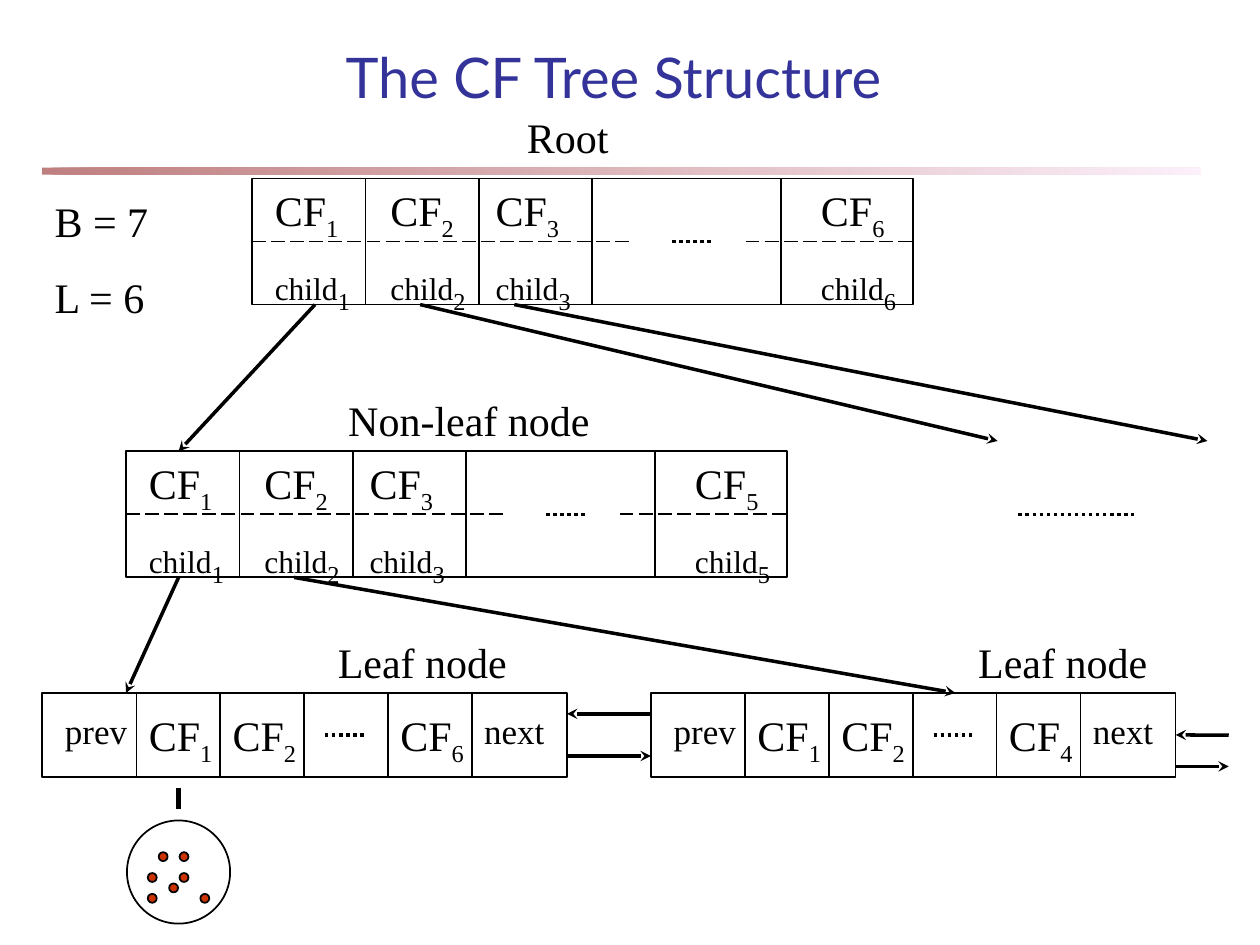
import pptx
import pptx.util
import pptx.dml.color
import pptx.enum.dml
import pptx.enum.shapes
import pptx.enum.text
import pptx.oxml.ns
from lxml import etree

Cm, Pt = pptx.util.Cm, pptx.util.Pt
qn = pptx.oxml.ns.qn
SHAPE = pptx.enum.shapes.MSO_SHAPE
DASH = pptx.enum.dml.MSO_LINE
FIT = pptx.enum.text.MSO_AUTO_SIZE


def color(code):
    return pptx.dml.color.RGBColor.from_string(code)


def style(run, size, font="Times New Roman", code="000000"):
    run.font.size = Pt(size)
    run.font.name = font
    run.font.color.rgb = color(code)


def line(slide, x1, y1, x2, y2, width=1, dash=None, arrow=False):
    link = slide.shapes.add_connector(
        pptx.enum.shapes.MSO_CONNECTOR.STRAIGHT, Cm(x1), Cm(y1), Cm(x2), Cm(y2))
    link.line.color.rgb = color("000000")
    link.line.width = Pt(width)
    if dash:
        link.line.dash_style = dash
    props = link._element.spPr
    if arrow:
        etree.SubElement(props.find(qn("a:ln")), qn("a:tailEnd"), type="stealth")
    etree.SubElement(props, qn("a:effectLst"))
    return link


def dots(slide, x, y, width=0.85):
    line(slide, x, y, x + width, y, 2, DASH.ROUND_DOT)


def shape(slide, kind, x, y, width, height, fill=None):
    item = slide.shapes.add_shape(kind, Cm(x), Cm(y), Cm(width), Cm(height))
    item.shadow.inherit = False
    item.line.color.rgb = color("000000")
    item.line.width = Pt(1)
    if fill:
        item.fill.solid()
        item.fill.fore_color.rgb = color(fill)
    else:
        item.fill.background()
    return item


def label(slide, x, y, width, words, size=24, sub=None):
    """Text box with one paragraph per line of words and an optional subscript."""
    box = slide.shapes.add_textbox(Cm(x), Cm(y), Cm(width), Cm(1.27))
    frame = box.text_frame
    frame.word_wrap = True
    frame.auto_size = FIT.SHAPE_TO_FIT_TEXT
    frame.text = words
    for para in frame.paragraphs:
        para.space_before = Pt(12.5 if size == 20 else 15)
        style(para.runs[0], size)
    if sub:
        run = frame.paragraphs[0].add_run()
        run.text = str(sub)
        style(run, 24)
        run.font._element.set("baseline", "-25000")


def heading(slide, x, y, width, height):
    title = slide.shapes.title
    title.left, title.top, title.width, title.height = map(Cm, (x, y, width, height))
    frame = title.text_frame
    frame.text = "The CF Tree Structure"
    frame.auto_size = FIT.NONE
    frame.vertical_anchor = pptx.enum.text.MSO_ANCHOR.BOTTOM
    frame.paragraphs[0].alignment = pptx.enum.text.PP_ALIGN.CENTER
    style(frame.paragraphs[0].runs[0], 32, "Lato", "333399")


def rule(slide, x, y, width, height):
    """Half-transparent gradient bar below the title."""
    bar = shape(slide, SHAPE.RECTANGLE, x, y, width, height)
    bar.line.fill.background()
    bar.fill.gradient()
    bar.fill.gradient_angle = 0
    for stop, place, code in zip(bar.fill.gradient_stops, (0, 1), ("800000", "FAE2F6")):
        stop.position = place
        stop.color.rgb = color(code)
    for tint in bar._element.spPr.iter(qn("a:srgbClr")):
        etree.SubElement(tint, qn("a:alpha"), val="50000")


def branch(slide, x, y, last):
    """Inner tree node: CF entries above their child pointers."""
    width, height = 13.33, 2.54
    shape(slide, SHAPE.RECTANGLE, x, y, width, height)
    for step in (2.29, 4.57, 6.86, 10.67):
        line(slide, x + step, y, x + step, y + height)
    middle = y + height / 2
    for start, end in ((0, 7.62), (9.95, width)):
        line(slide, x + start, middle, x + end, middle, dash=DASH.LONG_DASH)
    dots(slide, x + 8.47, middle)
    for step, sub in ((0.21, 1), (2.54, 2), (4.66, 3), (11.22, last)):
        label(slide, x + step, y, 1.9, "CF", 24, sub)
        label(slide, x + step, y + 1.48, 2.54, "child", 18, sub)


def leaf(slide, x, y, last):
    """Leaf node: CF entries between its prev and next pointers."""
    height = 1.69
    frame = shape(slide, SHAPE.RECTANGLE, x, y, 10.58, height)
    walls = [x + 1.9 + 1.69 * i for i in range(5)]
    for wall in walls:
        line(slide, wall, y, wall, y + height)
    for wall, sub in zip((walls[0], walls[1], walls[3]), (1, 2, last)):
        label(slide, wall, y + 0.21, 1.9, "CF", 24, sub)
    dots(slide, walls[2] + 0.42, y + height / 2)
    label(slide, x + 0.21, y + 0.21, 1.9, "prev", 20)
    label(slide, walls[4], y + 0.21, 1.9, "next", 20)
    return frame


def cluster(slide, x, y, size):
    """Circle of data points below a leaf entry."""
    for left, top in ((0.64, 0.64), (1.06, 1.06), (1.06, 0.64), (0.42, 1.48),
                      (0.42, 1.06), (0.85, 1.27), (1.48, 1.48)):
        shape(slide, SHAPE.OVAL, x + left, y + top, 0.18, 0.18, "CC3300")
    shape(slide, SHAPE.OVAL, x, y, size, size)
    middle = x + size / 2
    line(slide, middle, y - 0.66, middle, y - 0.24, 3)


def main():
    deck = pptx.Presentation()
    deck.slide_width, deck.slide_height = Cm(25.4), Cm(19.05)
    slide = deck.slides.add_slide(deck.slide_layouts[5])

    rule(slide, 0.85, 3.38, 23.36, 0.14)
    heading(slide, 1.88, 0.64, 20.98, 1.69)
    branch(slide, 5.08, 3.6, 6)
    branch(slide, 2.54, 9.1, 5)
    leaf(slide, 0.85, 13.97, 6)
    right = leaf(slide, 13.12, 13.97, 4)

    for ends in ((6.35, 6.14, 3.6, 9.1), (8.47, 6.14, 20.11, 8.89),
                 (10.37, 6.14, 24.34, 8.89), (3.6, 11.64, 2.54, 13.97),
                 (5.93, 11.64, 19.26, 13.97), (13.12, 14.39, 11.43, 14.39),
                 (11.43, 15.24, 13.12, 15.24), (23.7, 15.45, 24.77, 15.45)):
        line(slide, *ends, 2, arrow=True)
    back = line(slide, 24.77, 14.82, 23.7, 14.82, 2, arrow=True)
    back.end_connect(right, 3)
    dots(slide, 20.53, 10.37, 2.33)

    for x, y, width, words in ((0.85, 3.81, 2.96, "B = 7\nL = 6"),
                               (10.37, 2.12, 2.75, "Root"),
                               (6.77, 7.83, 5.5, "Non-leaf node"),
                               (6.56, 12.7, 4.02, "Leaf node"),
                               (19.47, 12.7, 4.02, "Leaf node")):
        label(slide, x, y, width, words)
    cluster(slide, 2.56, 16.54, 2.08)
    deck.save("out.pptx")


if __name__ == "__main__":
    main()
